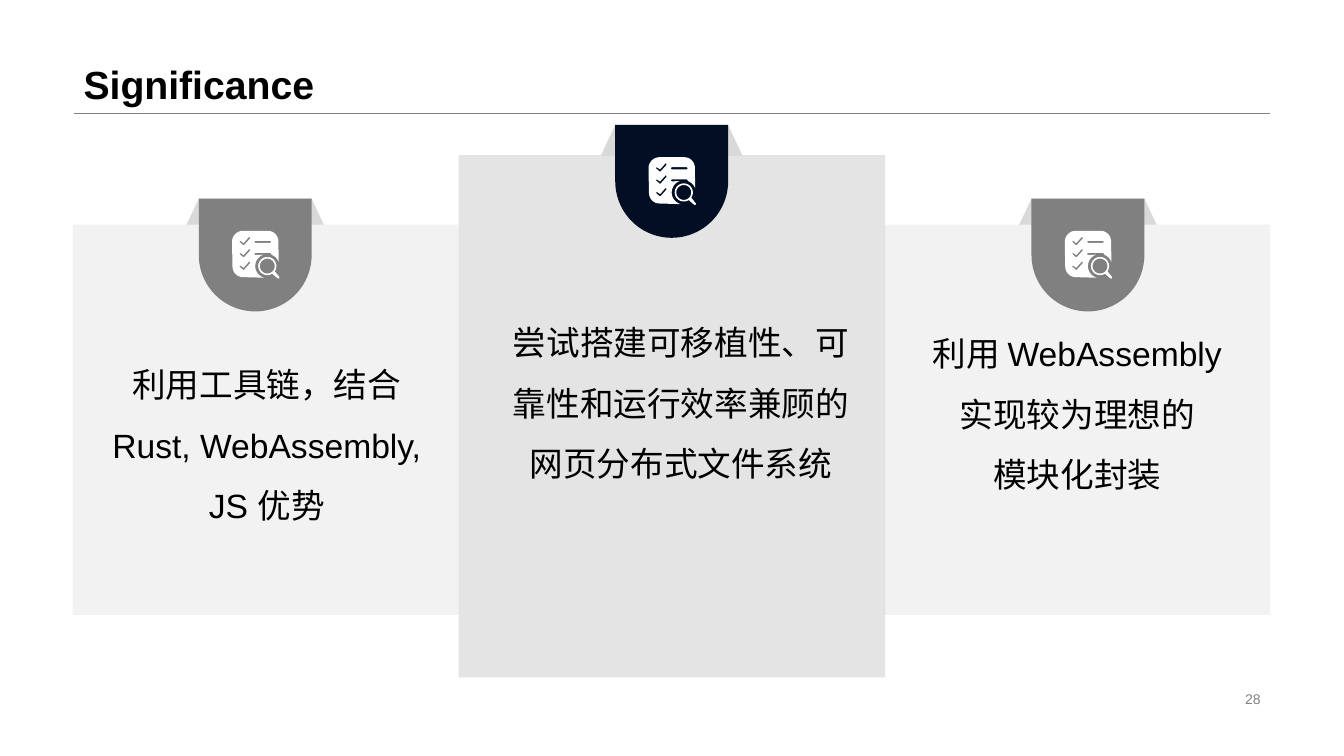
"""Build the Significance slide: three tabbed panels with checklist icons."""
from dataclasses import dataclass
from math import cos, radians, sin

from lxml.etree import SubElement
from pptx import Presentation
from pptx.dml.color import RGBColor
from pptx.enum.shapes import MSO_CONNECTOR, MSO_SHAPE
from pptx.enum.text import MSO_ANCHOR as Anchor, PP_ALIGN as Align
from pptx.oxml.ns import qn
from pptx.util import Inches, Pt


@dataclass(frozen=True)
class Theme:
    font: str = "Arial"
    ink: str = "000000"
    navy: str = "010E23"
    grey: str = "808080"
    flap: str = "D9D9D9"
    pale: str = "F2F2F2"
    white: str = "FFFFFF"
    title: int = 28
    body: int = 24
    number: int = 10
    rule: float = 0.25


@dataclass(frozen=True)
class Box:
    """A rectangle in percent of the slide's width and height."""
    x: float
    y: float
    w: float
    h: float

    def emu(self) -> tuple[int, ...]:
        return across(self.x), down(self.y), across(self.w), down(self.h)


@dataclass(frozen=True)
class Panel:
    """A panel, its tab and its text."""
    area: Box
    fill: str
    opacity: int
    tab_color: str
    tab_mid: float
    tab_top: float
    text_area: Box
    lines: tuple[str, ...]


Point = tuple[float, float]
T = Theme()
W, H = Inches(13.33), Inches(7.5)
TAB_W, TAB_H = 8.4, 14.93
FLAP_W, FLAP_H = 10.58, 4.13
SIDE_W, SIDE_Y, SIDE_H = 28.73, 29.73, 51.6
SIDE_TAB_Y = 26.27
ICON_X, ICON_Y, TAB_UNITS = 33, 32, 112

PANELS = (
    Panel(Box(65.78, SIDE_Y, SIDE_W, SIDE_H), T.pale, 100, T.grey, 80.95, SIDE_TAB_Y,
          Box(67.14, 38.67, 26.03, 29.47),
          ("利用 WebAssembly", "实现较为理想的", "模块化封装")),
    Panel(Box(5.4, SIDE_Y, SIDE_W, SIDE_H), T.pale, 100, T.grey, 18.99, SIDE_TAB_Y,
          Box(6.83, 42.8, 26.03, 29.47),
          ("利用工具链，结合 Rust, WebAssembly, JS 优势",)),
    Panel(Box(34.13, 20.53, 31.73, 69.07), T.flap, 70, T.navy, 49.98, 16.53,
          Box(36.83, 37.2, 27.68, 29.47),
          ("尝试搭建可移植性、可靠性和运行效率兼顾的网页分布式文件系统",)),
)


def across(share: float) -> int:
    return round(W * share / 100)


def down(share: float) -> int:
    return round(H * share / 100)


def color(value: str) -> RGBColor:
    return RGBColor.from_string(value)


def paint(sp, fill: str, opacity: int = 100):
    sp.shadow.inherit = False
    sp.fill.solid()
    sp.fill.fore_color.rgb = color(fill)
    sp.line.fill.background()
    if opacity < 100:
        srgb = next(sp._element.iter(qn("a:srgbClr")))
        SubElement(srgb, qn("a:alpha")).set("val", str(opacity * 1000))


def add_shape(s, kind, box: Box, fill: str, opacity: int = 100, adjust: tuple[float, ...] = ()):
    sp = s.shapes.add_shape(kind, *box.emu())
    for i, value in enumerate(adjust):
        sp.adjustments[i] = value
    paint(sp, fill, opacity)


def add_text(s, box: Box, *lines: str, size: int, ink: str = T.ink, bold: bool = False,
             align=Align.LEFT, anchor=Anchor.MIDDLE, spacing: float = 1.0):
    tf = s.shapes.add_textbox(*box.emu()).text_frame
    tf.word_wrap = True
    tf.vertical_anchor = anchor
    for i, line in enumerate(lines):
        p = tf.paragraphs[0] if i == 0 else tf.add_paragraph()
        p.alignment, p.line_spacing = align, spacing
        r = p.add_run()
        r.text = line
        r.font.name, r.font.size, r.font.bold = T.font, Pt(size), bold
        r.font.color.rgb = color(ink)


def arc(cx: float, cy: float, radius: float, start: float, end: float) -> list[Point]:
    steps = max(6, round(abs(end - start) / 9))
    angles = [radians(start + (end - start) * i / steps) for i in range(steps + 1)]
    return [(cx + radius * cos(a), cy + radius * sin(a)) for a in angles]


def icon_contours() -> list[list[Point]]:
    page = (arc(11, 11, 11, 180, 270) + arc(35.5, 10.5, 10.5, -90, 0)
            + arc(35, 35, 12, -20, -70)
            + [(39, 23), (38, 22), (23, 22), (22, 23), (23, 24)]
            + arc(35, 35, 12, -110, -255) + arc(11, 35.5, 10.5, 90, 180))
    lens = arc(35, 35, 9, 57, 395) + [(47, 46), (47, 47), (46, 47.5), (45, 47)]
    top_bar = [(23, 10), (38, 10), (39, 11), (38, 12), (23, 12), (22, 11)]
    tick = [(17.5, 30.5), (16.7, 30.8), (11.5, 36.7), (8.3, 34.5), (7.2, 35.3),
            (11, 38.7), (12, 38.7), (18, 32)]
    ticks = [[(x, y - rise) for x, y in tick] for rise in (0, 12.5, 24.5)]
    return [page, lens, arc(35, 35, 7.4, 0, 360), top_bar, *ticks]


def add_icon(s, tab: Box):
    left, top, width, _ = tab.emu()
    unit = width / TAB_UNITS
    builder = None
    for contour in icon_contours():
        first, *rest = [(round(left + (ICON_X + x) * unit), round(top + (ICON_Y + y) * unit))
                        for x, y in contour]
        if builder is None:
            builder = s.shapes.build_freeform(*first)
        else:
            builder.move_to(*first)
        builder.add_line_segments(rest, close=True)
    paint(builder.convert_to_shape(), T.white)


def add_header(s):
    rule = s.shapes.add_connector(MSO_CONNECTOR.STRAIGHT, across(5.48), down(14.99),
                                  across(94.52), down(14.99))
    rule.line.color.rgb, rule.line.width = color(T.grey), Pt(T.rule)
    SubElement(rule._element.spPr, qn("a:effectLst"))
    add_text(s, Box(5.48, 0, 89.05, 14.93), "Significance", size=T.title, bold=True,
             anchor=Anchor.BOTTOM, spacing=0.9)


def add_panels(s):
    for panel in PANELS:
        flap = Box(panel.tab_mid - FLAP_W / 2, panel.tab_top, FLAP_W, FLAP_H)
        add_shape(s, MSO_SHAPE.TRAPEZOID, flap, T.flap, adjust=(0.47,))
    for panel in PANELS:
        add_shape(s, MSO_SHAPE.RECTANGLE, panel.area, panel.fill, panel.opacity)
    for panel in PANELS:
        tab = Box(panel.tab_mid - TAB_W / 2, panel.tab_top, TAB_W, TAB_H)
        add_shape(s, MSO_SHAPE.ROUND_2_SAME_RECTANGLE, tab, panel.tab_color, adjust=(0, 0.5))
        add_icon(s, tab)
        add_text(s, panel.text_area, *panel.lines, size=T.body, align=Align.CENTER, spacing=1.5)


def main():
    prs = Presentation()
    prs.slide_width, prs.slide_height = W, H
    s = prs.slides.add_slide(prs.slide_layouts[6])
    add_header(s)
    add_text(s, Box(70.67, 90.93, 23.86, 3.07), "28", size=T.number, ink=T.grey, align=Align.RIGHT)
    add_panels(s)
    prs.save("out.pptx")


if __name__ == "__main__":
    main()
